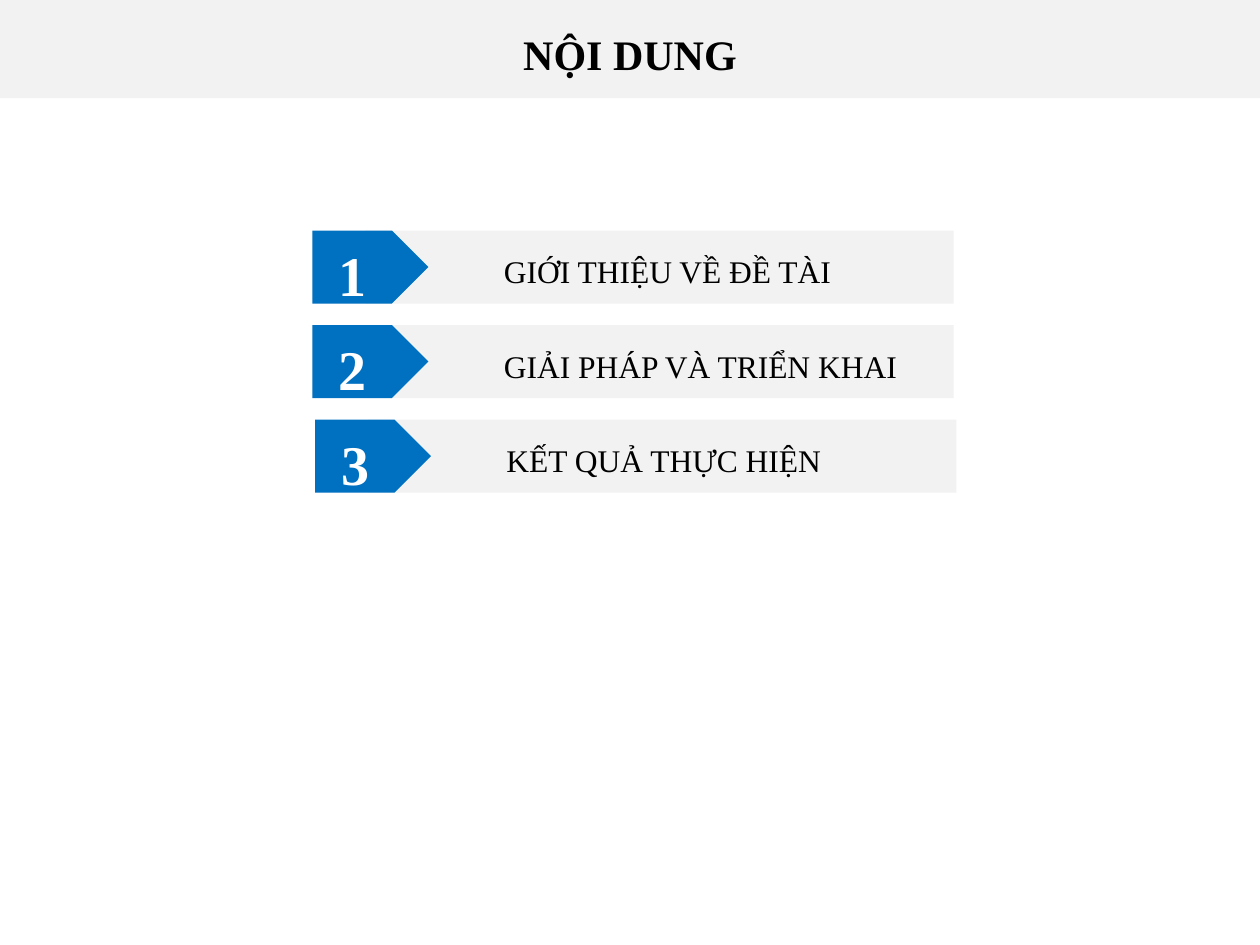
from pptx import Presentation
from pptx.dml.color import RGBColor
from pptx.enum.shapes import MSO_SHAPE as Shape
from pptx.enum.text import MSO_ANCHOR as Anchor, PP_ALIGN as Align
from pptx.util import Inches, Pt

TITLE = "NỘI DUNG"
SECTIONS = [
    ("1", "GIỚI THIỆU VỀ ĐỀ TÀI", 2.48),
    ("2", "GIẢI PHÁP VÀ TRIỂN KHAI", 2.48),
    ("3", "KẾT QUẢ THỰC HIỆN", 2.5),
]
GREY, BLUE, BLACK, WHITE = "F2F2F2", "0070C0", "000000", "FFFFFF"
WIDTH, HEIGHT = 10, 7.5
TITLE_HEIGHT = 0.78
FIRST_ROW, ROW_STEP, ROW_HEIGHT = 1.83, 0.75, 0.58
ARROW_WIDTH, BAR_OFFSET, BAR_WIDTH = 0.92, 0.42, 4.67


def color(value):
    return RGBColor.from_string(value)


def add_block(text, box, kind=Shape.RECTANGLE, fill=GREY, ink=BLACK,
              size=18, bold=False, align=Align.LEFT, indent=0.1):
    block = slide.shapes.add_shape(kind, *map(Inches, box))
    block.shadow.inherit = False
    block.fill.solid()
    block.fill.fore_color.rgb = color(fill)
    block.line.fill.background()
    frame = block.text_frame
    frame.word_wrap = True
    frame.vertical_anchor = Anchor.MIDDLE
    frame.margin_left = Inches(indent)
    paragraph = frame.paragraphs[0]
    paragraph.alignment = align
    paragraph.line_spacing = 1.2
    run = paragraph.add_run()
    run.text = text
    run.font.name = "Times New Roman"
    run.font.size = Pt(size)
    run.font.bold = bold
    run.font.color.rgb = color(ink)


prs = Presentation()
prs.slide_width, prs.slide_height = Inches(WIDTH), Inches(HEIGHT)
slide = prs.slides.add_slide(prs.slide_layouts[6])

add_block(TITLE, (0, 0, WIDTH, TITLE_HEIGHT), size=24, bold=True, align=Align.CENTER)
for row, (number, heading, left) in enumerate(SECTIONS):
    top = FIRST_ROW + row * ROW_STEP
    add_block(heading, (left + BAR_OFFSET, top, BAR_WIDTH, ROW_HEIGHT), indent=1.1)
    add_block(number, (left, top, ARROW_WIDTH, ROW_HEIGHT), kind=Shape.PENTAGON,
              fill=BLUE, ink=WHITE, size=32, bold=True, indent=0.21)

prs.save("out.pptx")
